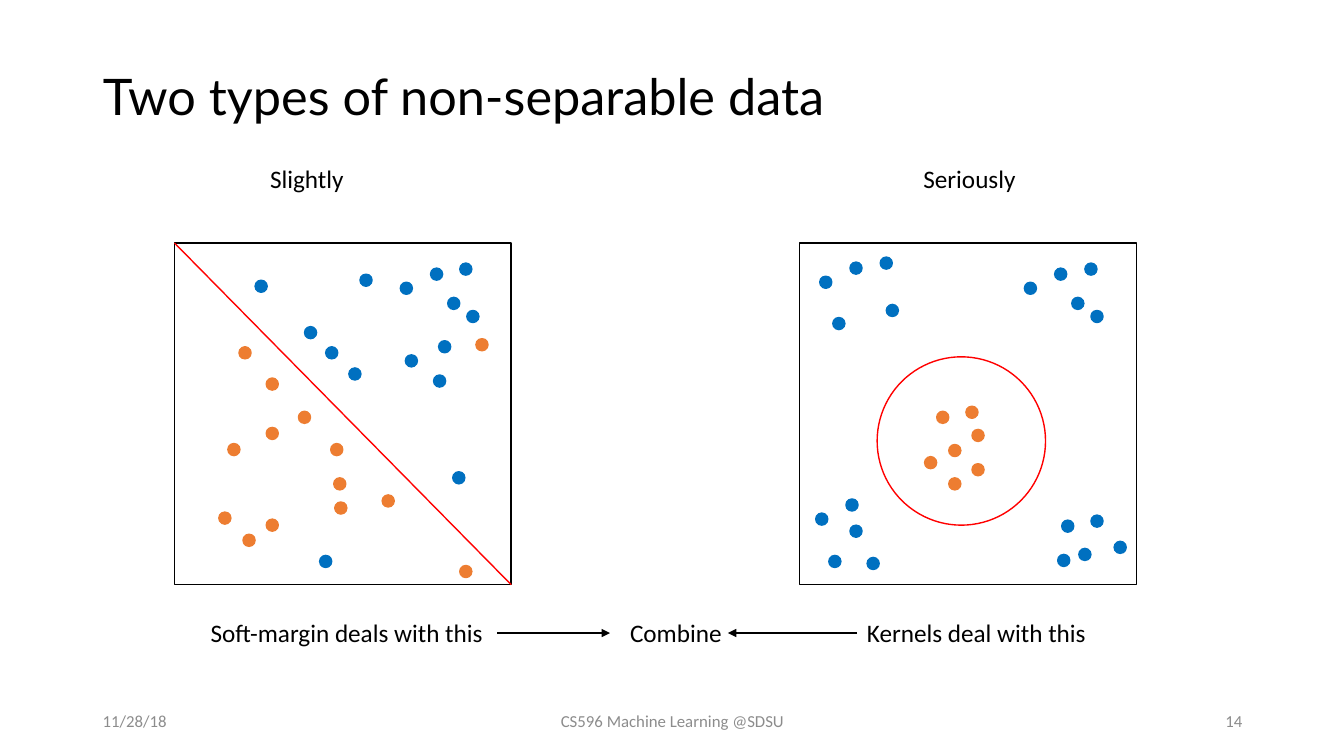
from dataclasses import dataclass

from lxml import etree
from pptx import Presentation
from pptx.dml.color import RGBColor
from pptx.enum.shapes import MSO_CONNECTOR, MSO_SHAPE
from pptx.enum.text import MSO_ANCHOR, MSO_AUTO_SIZE, PP_ALIGN
from pptx.oxml.ns import qn
from pptx.shapes.autoshape import Shape
from pptx.shapes.connector import Connector
from pptx.slide import Slide
from pptx.util import Inches, Pt

RECTANGLE, OVAL = MSO_SHAPE.RECTANGLE, MSO_SHAPE.OVAL
STRAIGHT = MSO_CONNECTOR.STRAIGHT
LEFT, CENTER, RIGHT = PP_ALIGN.LEFT, PP_ALIGN.CENTER, PP_ALIGN.RIGHT
TOP, MIDDLE = MSO_ANCHOR.TOP, MSO_ANCHOR.MIDDLE
FIT_SHAPE, FIT_NONE = MSO_AUTO_SIZE.SHAPE_TO_FIT_TEXT, MSO_AUTO_SIZE.NONE
LEFT_SIDE, RIGHT_SIDE = 1, 3
TITLE_ONLY = 5


@dataclass(frozen=True)
class Theme:
    ink: RGBColor = RGBColor(0x00, 0x00, 0x00)
    muted: RGBColor = RGBColor(0x8C, 0x8C, 0x8C)
    blue: RGBColor = RGBColor(0x00, 0x70, 0xC0)
    orange: RGBColor = RGBColor(0xED, 0x7D, 0x31)
    boundary: RGBColor = RGBColor(0xFF, 0x00, 0x00)
    title_font: str = "Lato"
    body_font: str = "Calibri"
    title_size: int = 36
    label_size: int = 18
    footer_size: int = 12
    line_width: int = 1


@dataclass(frozen=True)
class Label:
    text: str
    left: float
    top: float
    width: float


@dataclass(frozen=True)
class FooterItem:
    text: str
    left: float
    width: float
    align: PP_ALIGN


@dataclass(frozen=True)
class Panel:
    left: float
    blue_dots: tuple[tuple[float, float], ...]
    orange_dots: tuple[tuple[float, float], ...]


THEME = Theme()
PANEL_TOP, PANEL_WIDTH, PANEL_HEIGHT = 2.41, 3.34, 3.39
DOT_SIZE = 0.12
TEXT_HEIGHT = 0.4
HEADING_TOP, METHOD_TOP, FOOTER_TOP = 1.57, 6.08, 6.95
ARROW_Y = METHOD_TOP + TEXT_HEIGHT / 2

SLIGHTLY = Panel(
    1.73,
    ((3.46, 3.65), (3.57, 2.72), (2.53, 2.78), (3.23, 3.44), (3.02, 3.24),
     (4.63, 3.08), (4.56, 2.61), (3.97, 2.8), (4.27, 2.66), (4.44, 2.95),
     (4.02, 3.52), (3.17, 5.51), (4.3, 3.72), (4.35, 3.38), (4.49, 4.68)),
    ((2.96, 4.08), (2.17, 5.08), (2.64, 5.15), (2.64, 4.24), (2.41, 5.3),
     (3.79, 4.91), (4.72, 3.36), (2.37, 3.44), (3.28, 4.4), (3.32, 4.98),
     (2.26, 4.4), (3.31, 4.74), (2.64, 3.75), (4.56, 5.61)),
)
SERIOUSLY = Panel(
    7.93,
    ((8.43, 5.21), (8.6, 5.53), (8.09, 5.09), (8.39, 4.95), (8.22, 5.51),
     (8.79, 3.02), (8.73, 2.55), (8.13, 2.74), (8.43, 2.6), (8.26, 3.15),
     (10.82, 3.08), (10.76, 2.61), (10.16, 2.8), (10.46, 2.66), (10.63, 2.95),
     (11.05, 5.37), (10.82, 5.11), (10.49, 5.5), (10.53, 5.16), (10.7, 5.44)),
    ((9.58, 4.03), (9.17, 4.53), (9.64, 4.6), (9.29, 4.08), (9.41, 4.74),
     (9.64, 4.26), (9.41, 4.41)),
)
HEADINGS = (
    Label("Slightly", 2.58, HEADING_TOP, 0.94),
    Label("Seriously", 9.06, HEADING_TOP, 1.13),
)
SOFT_MARGIN = Label("Soft-margin deals with this", 1.99, METHOD_TOP, 2.94)
COMBINE = Label("Combine", 6.15, METHOD_TOP, 1.12)
KERNELS = Label("Kernels deal with this", 8.5, METHOD_TOP, 2.4)
FOOTER = (
    FooterItem("11/28/18", 0.92, 3, LEFT),
    FooterItem("CS596 Machine Learning @SDSU", 4.42, 4.5, CENTER),
    FooterItem("14", 9.42, 3, RIGHT),
)


def add_title(slide: Slide, text: str) -> None:
    title = slide.shapes.title
    title.left, title.top = Inches(0.92), Inches(0.4)
    title.width, title.height = Inches(11.5), Inches(1.17)
    frame = title.text_frame
    frame.text = text
    frame.auto_size = FIT_NONE
    frame.vertical_anchor = MIDDLE
    paragraph = frame.paragraphs[0]
    paragraph.alignment = LEFT
    paragraph.line_spacing = 0.9
    paragraph.font.name = THEME.title_font
    paragraph.font.size = Pt(THEME.title_size)
    paragraph.font.color.rgb = THEME.ink


def add_text(slide: Slide, text: str, left: float, top: float, width: float,
             size: int, color: RGBColor, align: PP_ALIGN = LEFT) -> Shape:
    box = slide.shapes.add_textbox(
        Inches(left), Inches(top), Inches(width), Inches(TEXT_HEIGHT))
    box.text_frame.text = text
    paragraph = box.text_frame.paragraphs[0]
    paragraph.alignment = align
    paragraph.font.name = THEME.body_font
    paragraph.font.size = Pt(size)
    paragraph.font.color.rgb = color
    return box


def add_label(slide: Slide, label: Label) -> Shape:
    box = add_text(slide, label.text, label.left, label.top, label.width,
                   THEME.label_size, THEME.ink)
    box.text_frame.word_wrap = False
    box.text_frame.auto_size = FIT_SHAPE
    box.text_frame.vertical_anchor = TOP
    return box


def add_footer_item(slide: Slide, item: FooterItem) -> None:
    box = add_text(slide, item.text, item.left, FOOTER_TOP, item.width,
                   THEME.footer_size, THEME.muted, item.align)
    box.text_frame.word_wrap = True
    box.text_frame.vertical_anchor = MIDDLE


def add_figure(shapes, preset: MSO_SHAPE, left: float, top: float, width: float,
               height: float, line: RGBColor, fill: RGBColor | None = None) -> None:
    figure = shapes.add_shape(
        preset, Inches(left), Inches(top), Inches(width), Inches(height))
    figure.shadow.inherit = False
    figure.line.color.rgb = line
    figure.line.width = Pt(THEME.line_width)
    if fill is None:
        figure.fill.background()
    else:
        figure.fill.solid()
        figure.fill.fore_color.rgb = fill


def add_panel(slide: Slide, panel: Panel) -> None:
    group = slide.shapes.add_group_shape()
    add_figure(group.shapes, RECTANGLE, panel.left, PANEL_TOP,
               PANEL_WIDTH, PANEL_HEIGHT, THEME.ink)
    for color, dots in ((THEME.blue, panel.blue_dots),
                        (THEME.orange, panel.orange_dots)):
        for left, top in dots:
            add_figure(group.shapes, OVAL, left, top, DOT_SIZE, DOT_SIZE, color, color)


def add_line(slide: Slide, start: tuple[float, float], end: tuple[float, float],
             color: RGBColor, arrow: bool = False) -> Connector:
    line = slide.shapes.add_connector(
        STRAIGHT, *(Inches(value) for value in (*start, *end)))
    line.line.color.rgb = color
    line.line.width = Pt(THEME.line_width)
    if arrow:
        etree.SubElement(line.line._get_or_add_ln(), qn("a:tailEnd"), type="triangle")
    etree.SubElement(line._element.spPr, qn("a:effectLst"))
    return line


def main() -> None:
    deck = Presentation()
    deck.slide_width, deck.slide_height = Inches(13.33), Inches(7.5)
    slide = deck.slides.add_slide(deck.slide_layouts[TITLE_ONLY])
    add_title(slide, "Two types of non-separable data")
    for item in FOOTER:
        add_footer_item(slide, item)
    for heading in HEADINGS:
        add_label(slide, heading)
    for panel in (SERIOUSLY, SLIGHTLY):
        add_panel(slide, panel)
    add_line(slide, (SLIGHTLY.left, PANEL_TOP),
             (SLIGHTLY.left + PANEL_WIDTH, PANEL_TOP + PANEL_HEIGHT), THEME.boundary)
    add_figure(slide.shapes, OVAL, 8.7, 3.54, 1.67, 1.67, THEME.boundary)
    add_label(slide, COMBINE)
    for method, side, start, end in (
        (SOFT_MARGIN, RIGHT_SIDE, SOFT_MARGIN.left + SOFT_MARGIN.width, 6.05),
        (KERNELS, LEFT_SIDE, KERNELS.left, 7.22),
    ):
        box = add_label(slide, method)
        arrow = add_line(slide, (start, ARROW_Y), (end, ARROW_Y), THEME.ink, arrow=True)
        arrow.begin_connect(box, side)
    deck.save("out.pptx")


if __name__ == "__main__":
    main()
